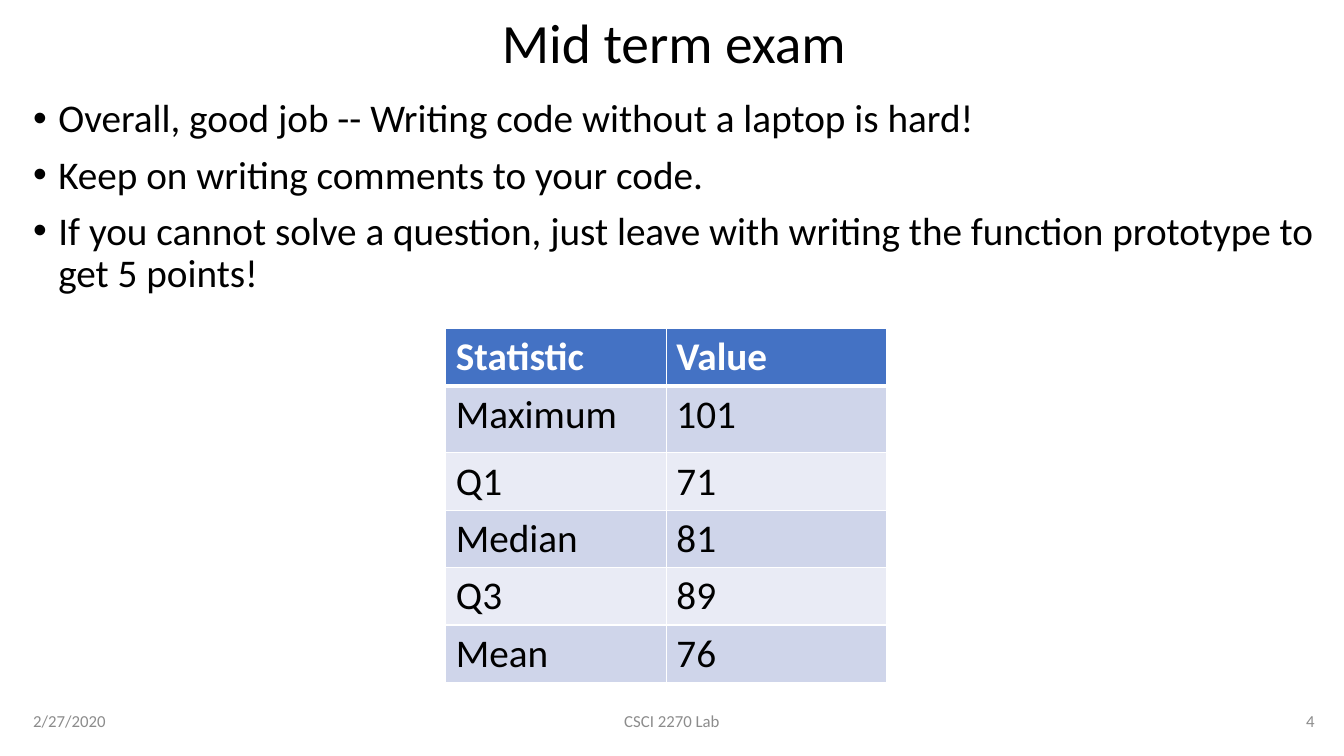
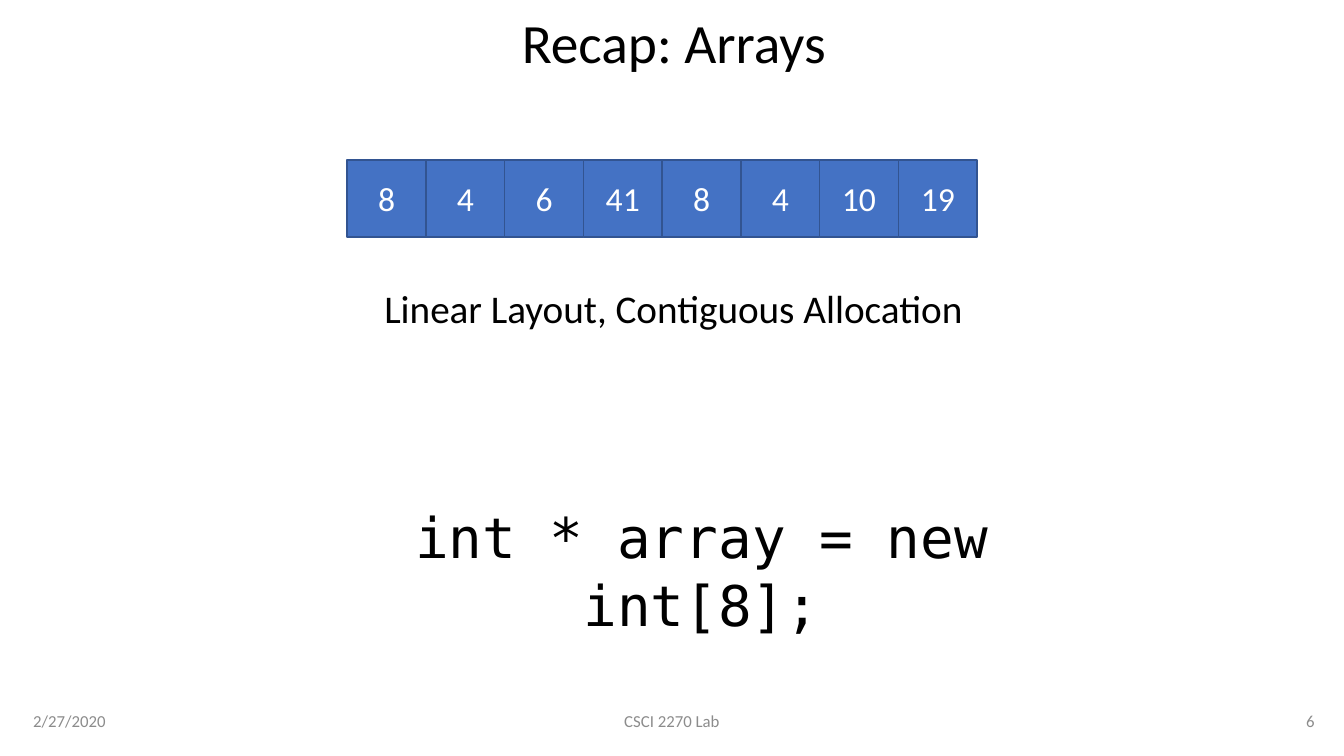
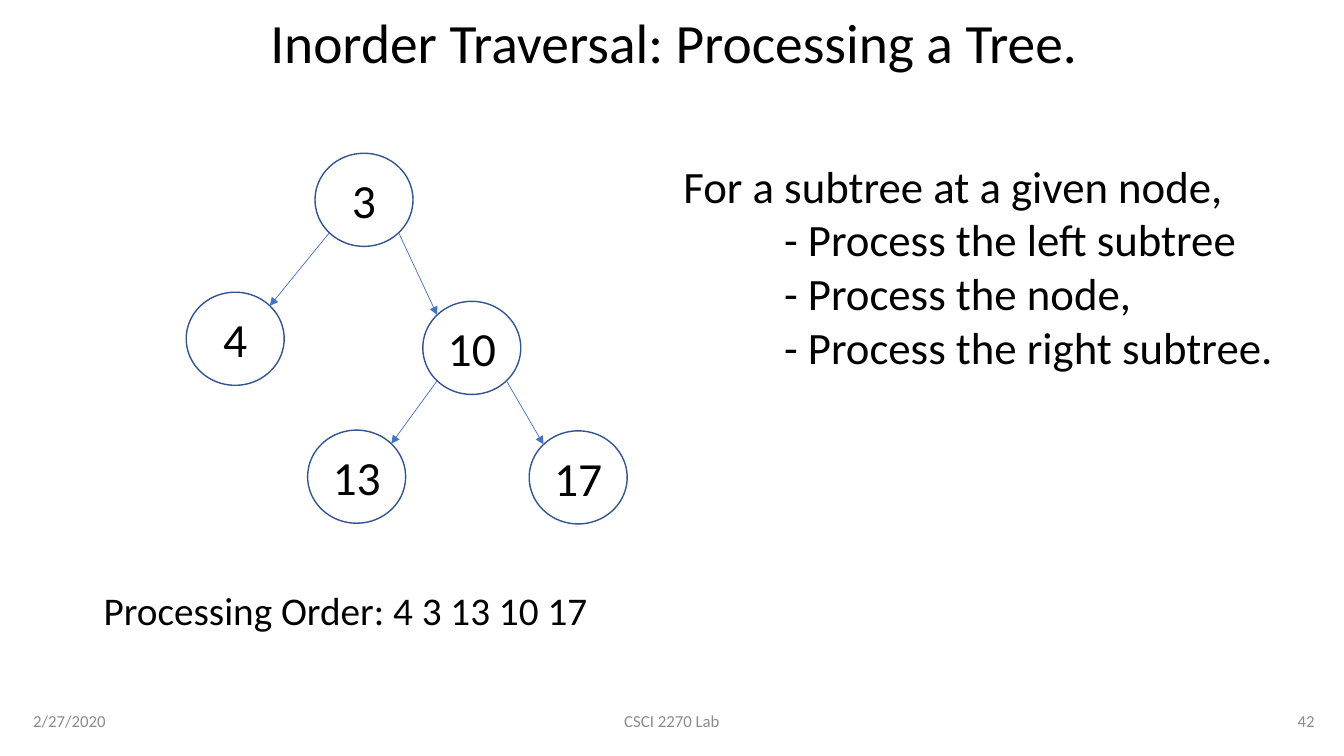
from dataclasses import dataclass
from math import sqrt

from lxml.etree import SubElement
from pptx import Presentation
from pptx.dml.color import RGBColor
from pptx.enum.shapes import MSO_CONNECTOR, MSO_SHAPE
from pptx.enum.text import MSO_ANCHOR, MSO_AUTO_SIZE, PP_ALIGN
from pptx.oxml.ns import qn
from pptx.util import Pt


@dataclass(frozen=True)
class Theme:
    font: str = "Calibri"
    code_font: str = "DejaVu Sans Mono"
    black: str = "000000"
    white: str = "FFFFFF"
    gray: str = "8C8C8C"
    blue: str = "4472C4"
    outline: str = "325491"
    band_dark: str = "CFD5EA"
    band_light: str = "E9EBF5"
    title_size: float = 39.6
    code_size: float = 40
    node_size: float = 34
    steps_size: float = 32
    text_size: float = 28
    cell_size: float = 24
    footer_size: float = 12


THEME = Theme()
LEFT, CONTENT_WIDTH = 16.6, 929.5
NODE_WIDTH, NODE_HEIGHT = 70, 66.5


def rgb(color):
    return RGBColor.from_string(color)


def style(paragraph, size, color=THEME.black, align=PP_ALIGN.LEFT, font=THEME.font, bold=False):
    paragraph.alignment = align
    paragraph.font.size = Pt(size)
    paragraph.font.name = font
    paragraph.font.bold = bold
    paragraph.font.color.rgb = rgb(color)


def indent(paragraph, margin, first_line=0):
    properties = paragraph._p.get_or_add_pPr()
    properties.set("marL", str(Pt(margin)))
    properties.set("indent", str(Pt(first_line)))
    return properties


def add_text(slide, box, lines, size, anchor=MSO_ANCHOR.TOP, **look):
    frame = slide.shapes.add_textbox(*map(Pt, box)).text_frame
    frame.word_wrap = True
    frame.vertical_anchor = anchor
    frame.text = "\n".join(lines)
    for paragraph in frame.paragraphs:
        style(paragraph, size, **look)
    return frame.paragraphs


def add_bullets(slide, box, lines):
    for paragraph in add_text(slide, box, lines, THEME.text_size):
        paragraph.line_spacing = 0.9
        paragraph.space_before = Pt(10)
        properties = indent(paragraph, 18, -18)
        SubElement(properties, qn("a:buFont"), typeface="Arial")
        SubElement(properties, qn("a:buChar"), char="•")


def add_slide(deck, title, number):
    slide = deck.slides.add_slide(deck.slide_layouts[5])
    heading = slide.shapes.title
    heading.left, heading.top = Pt(LEFT), Pt(10.8)
    heading.width, heading.height = Pt(CONTENT_WIDTH), Pt(43.2)
    frame = heading.text_frame
    frame.text = title
    frame.auto_size = MSO_AUTO_SIZE.NONE
    frame.vertical_anchor = MSO_ANCHOR.MIDDLE
    frame.paragraphs[0].line_spacing = 0.9
    style(frame.paragraphs[0], THEME.title_size, align=PP_ALIGN.CENTER)
    footers = [
        (LEFT, 216, "2/27/2020", PP_ALIGN.LEFT),
        (318, 324, "CSCI 2270 Lab", PP_ALIGN.CENTER),
        (LEFT + CONTENT_WIDTH - 216, 216, str(number), PP_ALIGN.RIGHT),
    ]
    for left, width, text, align in footers:
        add_text(slide, (left, 500.5, width, 28.75), [text], THEME.footer_size,
                 anchor=MSO_ANCHOR.MIDDLE, color=THEME.gray, align=align)
    return slide


def add_labelled_shape(slide, preset, box, label, size, color, fill=None):
    shape = slide.shapes.add_shape(preset, *map(Pt, box))
    shape.shadow.inherit = False
    if fill:
        shape.fill.solid()
        shape.fill.fore_color.rgb = rgb(fill)
    else:
        shape.fill.background()
    shape.line.color.rgb = rgb(THEME.outline)
    shape.line.width = Pt(1)
    frame = shape.text_frame
    frame.vertical_anchor = MSO_ANCHOR.MIDDLE
    frame.text = str(label)
    style(frame.paragraphs[0], size, color, PP_ALIGN.CENTER)


def add_arrow(slide, start, end):
    arrow = slide.shapes.add_connector(MSO_CONNECTOR.STRAIGHT, *map(Pt, (*start, *end)))
    arrow.line.color.rgb = rgb(THEME.blue)
    arrow.line.width = Pt(0.5)
    SubElement(arrow.line._get_or_add_ln(), qn("a:tailEnd"), type="triangle")
    SubElement(arrow._element.spPr, qn("a:effectLst"))


def add_borders(cell, top, bottom):
    properties = cell._tc.get_or_add_tcPr()
    for side, width in (("L", 1), ("R", 1), ("T", top), ("B", bottom)):
        border = SubElement(properties, qn(f"a:ln{side}"), w=str(Pt(width)))
        fill = SubElement(border, qn("a:solidFill"))
        SubElement(fill, qn("a:srgbClr"), val=THEME.white)


def add_table(slide, left, top, column_width, row_heights, rows):
    table = slide.shapes.add_table(
        len(rows), len(rows[0]), Pt(left), Pt(top),
        Pt(column_width * len(rows[0])), Pt(sum(row_heights))).table
    for column in table.columns:
        column.width = Pt(column_width)
    for index, (values, height) in enumerate(zip(rows, row_heights)):
        table.rows[index].height = Pt(height)
        header = index == 0
        band = THEME.band_dark if index % 2 else THEME.band_light
        for cell, value in zip(table.rows[index].cells, values):
            add_borders(cell, top=3 if index == 1 else 1, bottom=3 if header else 1)
            cell.fill.solid()
            cell.fill.fore_color.rgb = rgb(THEME.blue if header else band)
            cell.text = value
            style(cell.text_frame.paragraphs[0], THEME.text_size,
                  THEME.white if header else THEME.black, bold=header)


def add_array(slide, left, top, width, height, values):
    for index, value in enumerate(values):
        add_labelled_shape(slide, MSO_SHAPE.RECTANGLE, (left + index * width, top, width, height),
                           value, THEME.cell_size, THEME.white, THEME.blue)


def add_tree(slide, centers, edges):
    for value, (x, y) in centers.items():
        box = (x - NODE_WIDTH / 2, y - NODE_HEIGHT / 2, NODE_WIDTH, NODE_HEIGHT)
        add_labelled_shape(slide, MSO_SHAPE.OVAL, box, value, THEME.node_size, THEME.black)
    dx, dy = NODE_WIDTH / sqrt(8), NODE_HEIGHT / sqrt(8)
    for parent, child in edges:
        (px, py), (cx, cy) = centers[parent], centers[child]
        side = 1 if cx > px else -1
        add_arrow(slide, (px + side * dx, py + dy), (cx - side * dx, cy - dy))


def build_exam(deck):
    slide = add_slide(deck, "Mid term exam", 4)
    add_bullets(slide, (LEFT, 67, CONTENT_WIDTH, 420), [
        "Overall, good job -- Writing code without a laptop is hard!",
        "Keep on writing comments to your code.",
        "If you cannot solve a question, just leave with writing the function prototype to get 5 points!",
    ])
    add_table(slide, 318.5, 234.5, 157.5, [41, 48, 41, 41, 41, 41], [
        ("Statistic", "Value"),
        ("Maximum", "101"),
        ("Q1", "71"),
        ("Median", "81"),
        ("Q3", "89"),
        ("Mean", "76"),
    ])


def build_arrays(deck):
    slide = add_slide(deck, "Recap: Arrays", 6)
    add_array(slide, 248, 114.25, 56.25, 55, [8, 4, 6, 41, 8, 4, 10, 19])
    add_text(slide, (249, 199.5, 464, 41), ["Linear Layout, Contiguous Allocation"],
             THEME.text_size, align=PP_ALIGN.CENTER)
    add_text(slide, (201.5, 355.75, 599, 55.5), ["int * array = new int[8];"],
             THEME.code_size, align=PP_ALIGN.CENTER, font=THEME.code_font)


def build_traversal(deck):
    slide = add_slide(deck, "Inorder Traversal: Processing a Tree.", 42)
    centers = {3: (260, 142.75), 4: (168, 242), 10: (337, 248.5),
               13: (254.75, 340.5), 17: (413, 341)}
    add_tree(slide, centers, [(3, 4), (3, 10), (10, 13), (10, 17)])
    steps = add_text(slide, (481, 109.5, 465, 201), [
        "For a subtree at a given node,",
        "- Process the left subtree",
        "- Process the node,",
        "- Process the right subtree.",
    ], THEME.steps_size)
    for step in steps[1:]:
        indent(step, 72)
    add_text(slide, (67, 415.5, 397, 41), ["Processing Order: 4 3 13 10 17"], THEME.text_size)


def main():
    deck = Presentation()
    deck.slide_width, deck.slide_height = Pt(960), Pt(540)
    build_exam(deck)
    build_arrays(deck)
    build_traversal(deck)
    deck.save("out.pptx")


if __name__ == "__main__":
    main()
